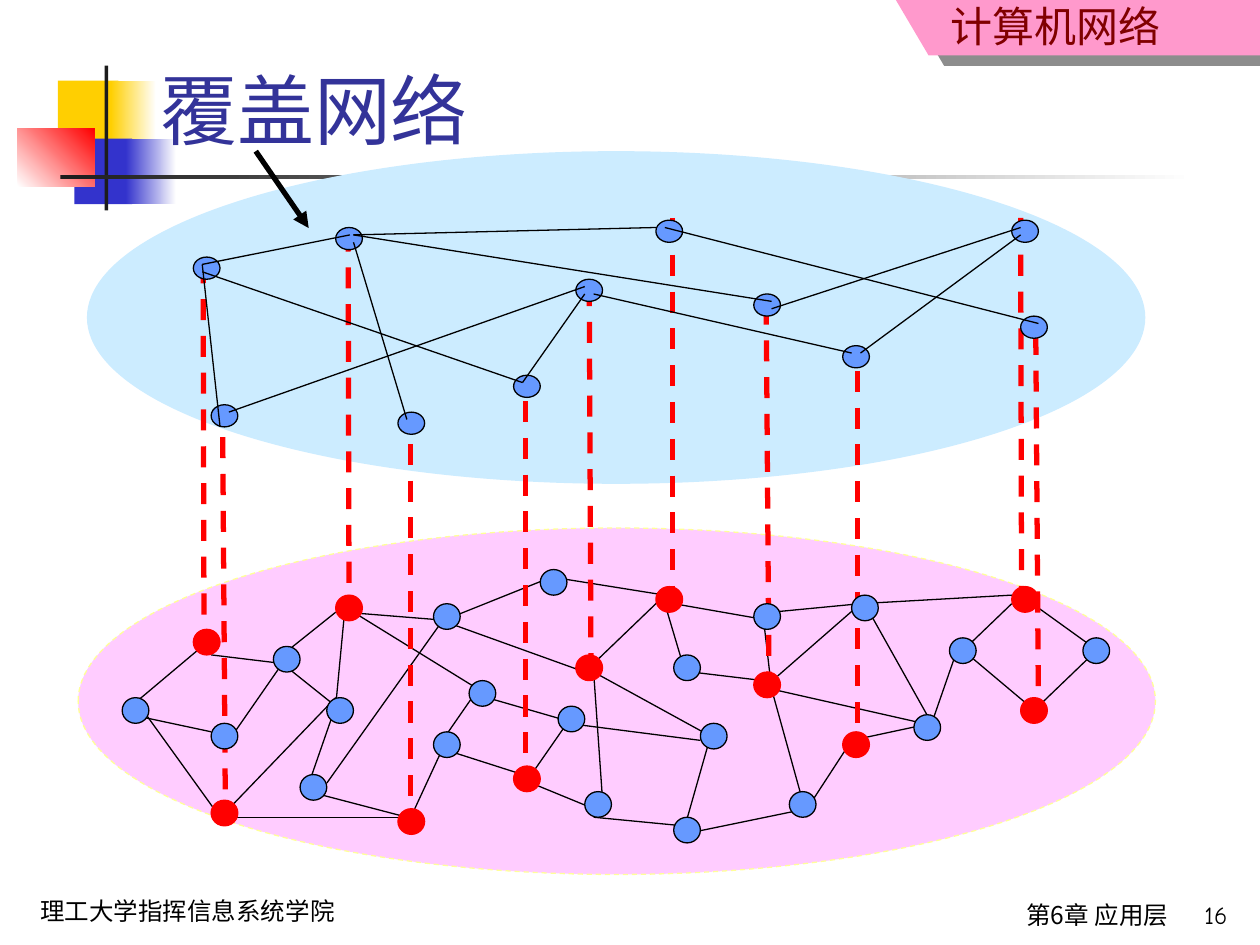
from dataclasses import dataclass

from lxml.etree import SubElement
from pptx import Presentation
from pptx.dml.color import RGBColor as RGB
from pptx.enum.dml import MSO_LINE_DASH_STYLE as Dash
from pptx.enum.shapes import MSO_CONNECTOR as Conn, MSO_SHAPE as Shape
from pptx.enum.text import MSO_ANCHOR as Anchor, PP_ALIGN as Align
from pptx.oxml.ns import qn
from pptx.util import Inches, Pt

COLORS = {
    "white": "FFFFFF", "black": "000000", "ink": "1C1C1C",
    "yellow": "FFCF01", "blue": "3333CC", "red": "FF0000",
    "band": "FF99CC", "maroon": "800000", "title": "333399",
    "overlay": "CCECFF", "physical": "FFCCFF", "rim": "FFFF99", "node": "6699FF",
}
CJK = "Noto Sans CJK SC"
LATIN = "Comic Neue"


@dataclass
class Grid:
    """A grid placed on the slide, in inches."""
    left: float
    top: float
    col: float
    row: float

    def x(self, c):
        return Inches(self.left + c * self.col)

    def y(self, r):
        return Inches(self.top + r * self.row)

    def box(self, c, r, w, h):
        return self.x(c), self.y(r), Inches(w * self.col), Inches(h * self.row)


PAGE = Grid(0, 0, 0.1, 0.1)
OVERLAY = Grid(0.97, 1.63, 0.0706, 0.0586)
PHYSICAL = Grid(0.97, 4.52, 0.0706, 0.0678)  # same columns, taller rows

# Nodes present in both networks: column, row of the upper left corner
SHARED = [(8, 7), (24, 3), (81, 19), (101, 15), (60, 2), (100, 2),
          (71, 12), (51, 10), (31, 28), (44, 23), (10, 27)]
# Nodes of the physical network only
ROUTERS = [(35, 4), (89, 17), (93, 8), (20, 24), (23, 15), (47, 0), (108, 8),
           (82, 3), (39, 13), (35, 19), (52, 26), (65, 18), (75, 26), (71, 4),
           (49, 16), (62, 29), (62, 10), (17, 9), (10, 18), (0, 15)]
# Edges: start column, row, end column, row
PHYSICAL_EDGES = [
    (1, 16, 9, 9), (25, 5, 37, 6), (63, 31, 77, 28), (77, 28, 82, 20),
    (82, 20, 91, 18), (91, 18, 94, 9), (94, 9, 102, 16), (101, 3, 109, 9),
    (109, 10, 103, 16), (100, 4, 95, 9), (83, 4, 100, 3), (84, 5, 91, 18),
    (73, 5, 83, 4), (48, 1, 36, 6), (24, 5, 18, 10), (10, 10, 18, 11),
    (2, 16, 11, 29), (1, 17, 10, 19), (21, 25, 24, 16), (18, 11, 24, 16),
    (12, 20, 18, 11), (12, 29, 32, 29), (36, 20, 40, 14), (36, 6, 52, 12),
    (53, 12, 67, 20), (53, 11, 61, 3), (49, 1, 61, 3), (62, 4, 73, 6),
    (61, 4, 63, 11), (64, 12, 72, 13), (72, 5, 73, 14), (72, 14, 83, 4),
    (73, 14, 77, 29), (66, 20, 63, 31), (32, 30, 36, 21), (36, 21, 45, 24),
    (46, 25, 53, 28), (41, 15, 51, 18), (46, 24, 50, 18), (25, 5, 24, 16),
    (21, 26, 32, 29), (12, 28, 24, 15), (36, 6, 23, 25), (26, 5, 40, 14),
    (50, 18, 65, 20), (53, 12, 54, 27), (53, 29, 63, 30), (73, 14, 90, 18)]
OVERLAY_EDGES = [
    (26, 4, 73, 13), (53, 12, 82, 20), (9, 9, 45, 24), (12, 28, 52, 11),
    (9, 8, 11, 30), (26, 5, 32, 29), (83, 20, 101, 4), (61, 3, 103, 16),
    (26, 4, 60, 3), (52, 12, 45, 24), (73, 14, 101, 3), (9, 8, 25.6, 4)]
# Overlay column and row, then physical column and row
MAPPINGS = [
    (61.9, 1.7, 61.9, 3.7), (45.3, 26.5, 45.3, 24), (52.5, 10.8, 52.7, 11.5),
    (72.4, 13.3, 72.7, 12.1), (82.7, 22.4, 82.7, 20.4), (101, 1.7, 101.1, 2.9),
    (9.1, 7.7, 9.2, 8.7), (25.4, 3.4, 25.5, 4.7), (11.3, 31.4, 11.6, 28),
    (32.4, 32.3, 32.4, 28.9), (102.7, 17.4, 103, 16.8)]


def rgb(name):
    return RGB.from_string(COLORS[name])


def add_shape(s, box, fill, line=None, kind=Shape.RECTANGLE):
    sp = s.shapes.add_shape(kind, *box)
    sp.shadow.inherit = False
    sp.fill.solid()
    sp.fill.fore_color.rgb = rgb(fill)
    if line:
        sp.line.color.rgb = rgb(line)
        sp.line.width = Pt(0.75)
    else:
        sp.line.fill.background()
    return sp


def add_fade(s, box, start, end, angle=0):
    sp = add_shape(s, box, start)
    sp.fill.gradient()
    sp.fill.gradient_angle = angle
    for stop, name in zip(sp.fill.gradient_stops, (start, end)):
        stop.color.rgb = rgb(name)


def add_line(s, x1, y1, x2, y2, color="black", width=0.75, dash=None):
    ln = s.shapes.add_connector(Conn.STRAIGHT, x1, y1, x2, y2)
    ln.line.color.rgb = rgb(color)
    ln.line.width = Pt(width)
    if dash:
        ln.line.dash_style = dash
    SubElement(ln._element.spPr, qn("a:effectLst"))
    return ln


def set_text(sp, text, size, color, font, align=Align.LEFT, anchor=Anchor.TOP, top=0.05):
    tf = sp.text_frame
    tf.word_wrap = True
    tf.vertical_anchor = anchor
    tf.margin_left = tf.margin_right = Inches(0.1)
    tf.margin_top, tf.margin_bottom = Inches(top), Inches(0.05)
    p = tf.paragraphs[0]
    p.alignment = align
    r = p.add_run()
    r.text = text
    r.font.size = Pt(size)
    r.font.name = font
    r.font.color.rgb = rgb(color)
    SubElement(r._r.get_or_add_rPr(), qn("a:ea"), typeface=CJK)


def add_text(s, box, *args, **kw):
    set_text(s.shapes.add_textbox(*box), *args, **kw)


def add_ornament(s, g):
    # Coloured squares and rules beside the title
    add_shape(s, g.box(4.6, 6.4, 4.8, 5.2), "yellow")
    add_fade(s, g.box(8.8, 6.4, 3.6, 5.2), "yellow", "white")
    add_shape(s, g.box(5.9, 11, 4.6, 5.2), "blue")
    add_fade(s, g.box(10, 11, 4, 5.2), "blue", "white")
    add_fade(s, g.box(1.4, 10.2, 6.1, 4.6), "white", "red", 45)
    add_shape(s, g.box(8.3, 5.2, 0.3, 11.5), "ink")
    add_fade(s, g.box(4.8, 13.9, 90, 0.3), "ink", "white")


def add_header(s, g):
    # Slanted band with the course name
    fb = s.shapes.build_freeform(g.x(71.1), g.y(0))
    fb.add_line_segments([(g.x(c), g.y(r)) for c, r in ((73.7, 4.4), (100, 4.4), (100, 0))])
    band = fb.convert_to_shape()
    band.fill.solid()
    band.fill.fore_color.rgb = rgb("band")
    band.line.fill.background()
    effects = SubElement(band._element.spPr, qn("a:effectLst"))
    shadow = SubElement(effects, qn("a:outerShdw"), dist=str(Pt(10.8)),
                        dir=str(34 * 60000), algn="ctr", rotWithShape="0")
    tint = SubElement(shadow, qn("a:srgbClr"), val=COLORS["ink"])
    SubElement(tint, qn("a:alpha"), val="50000")
    add_text(s, g.box(57.8, 0, 35.3, 4.5), "计算机网络", 24, "maroon", CJK, Align.RIGHT, top=0)


def add_footer(s, g):
    add_text(s, g.box(2.2, 70.6, 31.1, 3.4), "理工大学指挥信息系统学院", 14, "black", LATIN)
    add_text(s, g.box(42.9, 70.9, 50.8, 4.1), "第6章 应用层", 14, "black", CJK, Align.RIGHT)
    add_text(s, g.box(90.5, 70.9, 7.9, 3.8), "16", 14, "black", LATIN, Align.RIGHT)


def add_title(s, g):
    title = s.shapes.title
    title.left, title.top, title.width, title.height = g.box(11.7, 4.4, 88.3, 8.4)
    set_text(title, "覆盖网络", 44, "title", "Arial", anchor=Anchor.BOTTOM)
    s.shapes._spTree.append(title._element)  # in front of the ornament


def add_edges(s, g, edges):
    for c1, r1, c2, r2 in edges:
        add_line(s, g.x(c1), g.y(r1), g.x(c2), g.y(r2))


def add_nodes(s, g, nodes, fill="node", line="black"):
    for c, r in nodes:
        add_shape(s, g.box(c, r, 3, 3), fill, line, Shape.OVAL)


def add_networks(s, page, upper, lower):
    # Clouds
    add_shape(s, page.box(6.9, 12, 84, 26.4), "overlay", kind=Shape.OVAL)
    cloud = add_shape(s, page.box(6.2, 41.9, 85.5, 27.5), "physical", "rim", Shape.OVAL)
    cloud.line.dash_style = Dash.DASH
    # Links, and the mapping between both networks
    add_edges(s, lower, PHYSICAL_EDGES)
    for c1, r1, c2, r2 in MAPPINGS:
        add_line(s, upper.x(c1), upper.y(r1), lower.x(c2), lower.y(r2), "red", 3, Dash.DASH)
    add_nodes(s, upper, SHARED)
    add_edges(s, upper, OVERLAY_EDGES)
    add_nodes(s, lower, SHARED, "red", "red")
    add_nodes(s, lower, ROUTERS)
    # Arrow from the title to the overlay
    arrow = add_line(s, page.x(20.3), page.y(12), page.x(24.5), page.y(18.1), width=3)
    SubElement(arrow.line._get_or_add_ln(), qn("a:tailEnd"), type="triangle")


def main():
    prs = Presentation()
    prs.slide_width, prs.slide_height = Inches(10), Inches(7.5)
    s = prs.slides.add_slide(prs.slide_layouts[5])
    add_ornament(s, PAGE)
    add_footer(s, PAGE)
    add_header(s, PAGE)
    add_title(s, PAGE)
    add_networks(s, PAGE, OVERLAY, PHYSICAL)
    prs.save("out.pptx")


if __name__ == "__main__":
    main()
